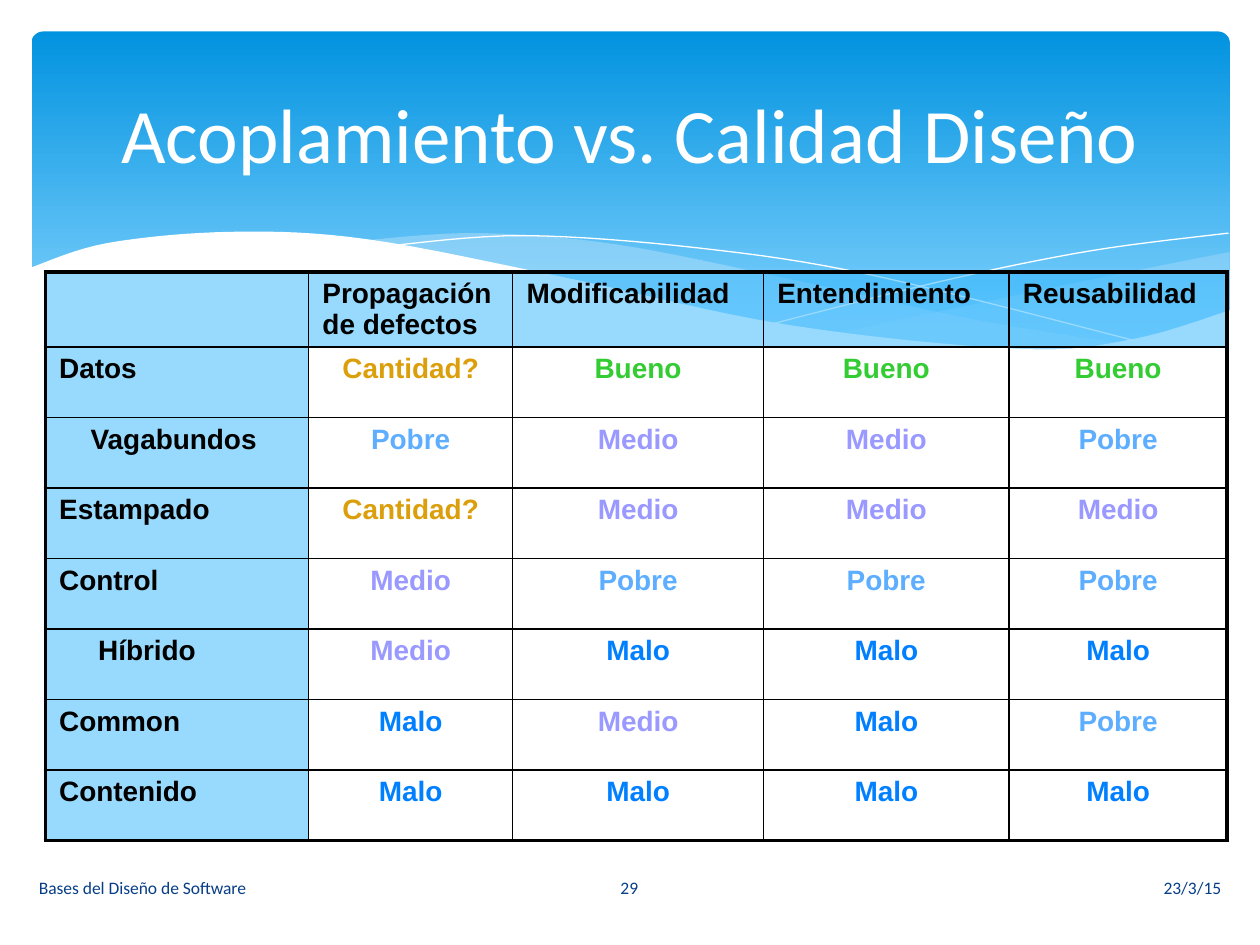
from dataclasses import dataclass

from lxml import etree
from pptx import Presentation
from pptx.dml.color import RGBColor
from pptx.dml.fill import FillFormat
from pptx.enum.shapes import MSO_SHAPE
from pptx.enum.text import MSO_ANCHOR, PP_ALIGN
from pptx.oxml.ns import qn
from pptx.slide import Slide
from pptx.table import _Cell
from pptx.text.text import TextFrame
from pptx.util import Inches, Pt

ROUNDED = MSO_SHAPE.ROUNDED_RECTANGLE
LEFT, CENTER, RIGHT = PP_ALIGN.LEFT, PP_ALIGN.CENTER, PP_ALIGN.RIGHT
MIDDLE = MSO_ANCHOR.MIDDLE

BLACK, WHITE, NAVY, SKY, MIST = "000000", "FFFFFF", "073E87", "31B6FD", "C6E7FC"
RATING_COLORS = {
    "Cantidad?": "DC9F0C",
    "Bueno": "33CC33",
    "Medio": "9999FF",
    "Pobre": "5EAEFF",
    "Malo": "0080FF",
}
HEADINGS = ["", "Propagación de defectos", "Modificabilidad", "Entendimiento", "Reusabilidad"]
COLUMN_WIDTHS = [2.09, 1.62, 1.99, 1.95, 1.73]
ROW_HEIGHT = 0.56
CELL_MARGINS = {"margin_left": 0.11, "margin_right": 0.11, "margin_top": 0.05, "margin_bottom": 0.05}
THIN, THICK = 1, 2.25
CURVE_STEPS = 8

Point = tuple[float, float]


@dataclass
class Wave:
    """Smooth edges joined end to end; without a fill it is a white hairline."""
    edges: list[list[Point]]
    fill: str = ""
    opacity: int = 100


@dataclass
class Coupling:
    name: str
    ratings: list[str]
    indent: float = 0


@dataclass
class FooterItem:
    text: str
    left: float
    width: float
    alignment: PP_ALIGN


WAVES = [
    Wave([[(9.76, 2), (8.61, 2.23), (6.61, 2.65)],
          [(6.61, 2.65), (8.03, 2.78), (9, 2.7), (9.76, 2.47)]], MIST, 29),
    Wave([[(2.86, 1.91), (3.8, 1.85), (4.89, 1.94), (6.29, 2.22), (7.75, 2.54), (8.93, 2.73)],
          [(8.93, 2.73), (8.1, 2.78), (6.65, 2.66), (4.49, 2.22), (2.86, 1.91)]], MIST, 40),
    Wave([[(3.09, 1.95), (4.16, 1.87), (5.56, 1.97), (6.95, 2.19), (9.07, 2.72)]]),
    Wave([[(6.13, 2.57), (7.48, 2.23), (8.66, 1.99), (9.75, 1.85)]]),
    Wave([[(0.23, 2.13), (0.85, 1.93), (1.85, 1.84), (2.92, 1.9), (4.47, 2.2),
           (6.26, 2.58), (8.1, 2.77), (9, 2.69), (9.77, 2.46)],
          [(9.77, 3.29), (0.23, 3.29)]], WHITE),
]
COUPLINGS = [
    Coupling("Datos", ["Cantidad?", "Bueno", "Bueno", "Bueno"]),
    Coupling("Vagabundos", ["Pobre", "Medio", "Medio", "Pobre"], indent=0.25),
    Coupling("Estampado", ["Cantidad?", "Medio", "Medio", "Medio"]),
    Coupling("Control", ["Medio", "Pobre", "Pobre", "Pobre"]),
    Coupling("Híbrido", ["Medio", "Malo", "Malo", "Malo"], indent=0.31),
    Coupling("Common", ["Malo", "Medio", "Malo", "Pobre"]),
    Coupling("Contenido", ["Malo", "Malo", "Malo", "Malo"]),
]
FOOTER = [
    FooterItem("23/3/15", 5.65, 4.14, RIGHT),
    FooterItem("Bases del Diseño de Software", 0.21, 4.14, LEFT),
    FooterItem("29", 4.36, 1.27, CENTER),
]


def rgb(color: str) -> RGBColor:
    return RGBColor.from_string(color)


def set_fill(fill: FillFormat, color: str, opacity: int = 100) -> None:
    fill.solid()
    fill.fore_color.rgb = rgb(color)
    if opacity < 100:
        color_element = fill._xPr.find(".//" + qn("a:srgbClr"))
        etree.SubElement(color_element, qn("a:alpha"), val=str(opacity * 1000))


def write(frame: TextFrame, text: str, color: str, alignment: PP_ALIGN, **font_format) -> None:
    frame.word_wrap = True
    paragraph = frame.paragraphs[0]
    paragraph.text = text
    paragraph.alignment = alignment
    paragraph.font.color.rgb = rgb(color)
    for name, value in font_format.items():
        setattr(paragraph.font, name, value)


def add_banner(slide: Slide) -> None:
    banner = slide.shapes.add_shape(ROUNDED, Inches(0.25), Inches(0.25), Inches(9.51), Inches(2.7))
    banner.adjustments[0] = 0.034
    banner.shadow.inherit = False
    banner.line.fill.background()
    banner.fill.gradient()
    banner.fill.gradient_angle = 270
    for stop, color, position in zip(banner.fill.gradient_stops, ["0293E0", "83D3FE"], [0, 0.9]):
        stop.color.rgb = rgb(color)
        stop.position = position


def smooth(anchors: list[Point]) -> list[Point]:
    """Run a Catmull-Rom curve through the anchors."""
    padded = [anchors[0], *anchors, anchors[-1]]
    points = [anchors[0]]
    for before, start, end, after in zip(padded, padded[1:], padded[2:], padded[3:]):
        for step in range(1, CURVE_STEPS + 1):
            t = step / CURVE_STEPS
            points.append(tuple(
                b + t * (c - a + t * (2 * a - 5 * b + 4 * c - d + t * (3 * b - a - 3 * c + d))) / 2
                for a, b, c, d in zip(before, start, end, after)))
    return points


def add_wave(slide: Slide, wave: Wave) -> None:
    start, *others = [(Inches(x), Inches(y)) for edge in wave.edges for x, y in smooth(edge)]
    builder = slide.shapes.build_freeform(*start)
    builder.add_line_segments(others, close=bool(wave.fill))
    shape = builder.convert_to_shape()
    shape.shadow.inherit = False
    if wave.fill:
        set_fill(shape.fill, wave.fill, wave.opacity)
        shape.line.fill.background()
    else:
        shape.fill.background()
        shape.line.color.rgb = rgb(WHITE)
        shape.line.width = Pt(0)


def set_borders(cell: _Cell, widths: dict[str, float]) -> None:
    """Put the border lines ahead of the cell fill, as the schema demands."""
    properties = cell._tc.get_or_add_tcPr()
    for index, (side, width) in enumerate(widths.items()):
        line = etree.Element(qn(f"a:ln{side}"), w=str(Pt(width)))
        fill = etree.SubElement(line, qn("a:solidFill"))
        etree.SubElement(fill, qn("a:srgbClr"), val=BLACK)
        properties.insert(index, line)


def add_quality_table(slide: Slide) -> None:
    rows = [Coupling(HEADINGS[0], HEADINGS[1:]), *COUPLINGS]
    last_row, last_column = len(rows) - 1, len(HEADINGS) - 1
    table = slide.shapes.add_table(
        len(rows), len(HEADINGS), Inches(0.36), Inches(2.16),
        Inches(sum(COLUMN_WIDTHS)), Inches(ROW_HEIGHT * len(rows))).table
    table.first_row = table.horz_banding = False
    for column, width in zip(table.columns, COLUMN_WIDTHS):
        column.width = Inches(width)
    for r, coupling in enumerate(rows):
        table.rows[r].height = Inches(ROW_HEIGHT)
        for c, text in enumerate([coupling.name, *coupling.ratings]):
            cell = table.cell(r, c)
            for name, margin in CELL_MARGINS.items():
                setattr(cell, name, Inches(margin))
            is_label = r == 0 or c == 0
            if is_label:
                set_fill(cell.fill, SKY, 50)
            else:
                cell.fill.background()
            if c == 0:
                cell.margin_left = Inches(CELL_MARGINS["margin_left"] + coupling.indent)
            write(cell.text_frame, text, RATING_COLORS.get(text, BLACK),
                  LEFT if is_label else CENTER, name="Arial", size=Pt(16), bold=True)
            on_edge = {"L": c == 0, "R": c == last_column, "T": r == 0, "B": r == last_row}
            set_borders(cell, {side: THICK if edge else THIN for side, edge in on_edge.items()})


def add_title(slide: Slide) -> None:
    """Fill the title placeholder and bring it in front of the banner."""
    title = slide.shapes.title
    title.left, title.top, title.width, title.height = map(Inches, (0.5, 0.37, 9, 1.37))
    title.text_frame.vertical_anchor = MIDDLE
    write(title.text_frame, "Acoplamiento vs. Calidad Diseño", WHITE, CENTER, name="Calibri", size=Pt(44))
    slide.shapes._spTree.append(title._element)


def add_footer_item(slide: Slide, item: FooterItem) -> None:
    box = slide.shapes.add_textbox(Inches(item.left), Inches(6.84), Inches(item.width), Inches(0.4))
    box.text_frame.vertical_anchor = MIDDLE
    write(box.text_frame, item.text, NAVY, item.alignment, name="Calibri", size=Pt(10))


def main() -> None:
    presentation = Presentation()
    presentation.slide_width, presentation.slide_height = Inches(10), Inches(7.5)
    slide = presentation.slides.add_slide(presentation.slide_layouts[5])
    add_banner(slide)
    for wave in WAVES:
        add_wave(slide, wave)
    add_title(slide)
    add_quality_table(slide)
    for item in FOOTER:
        add_footer_item(slide, item)
    presentation.save("out.pptx")


if __name__ == "__main__":
    main()
